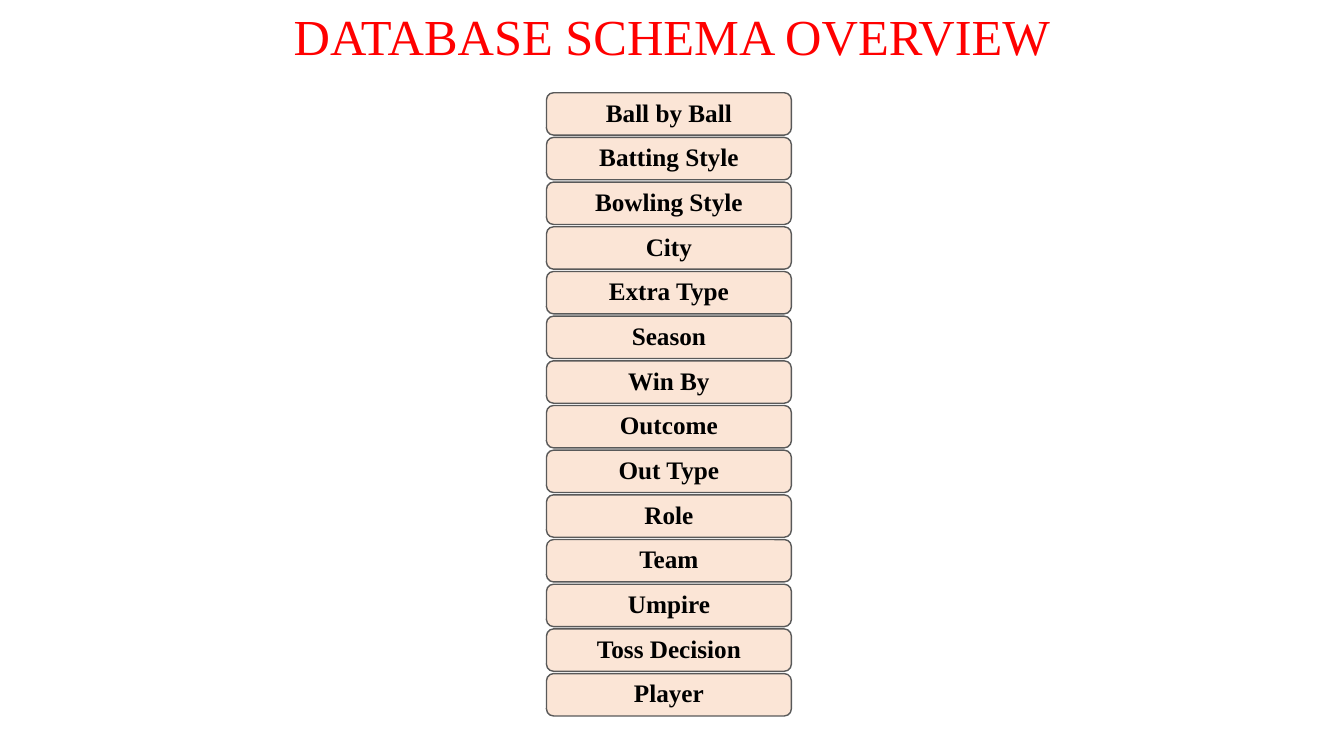
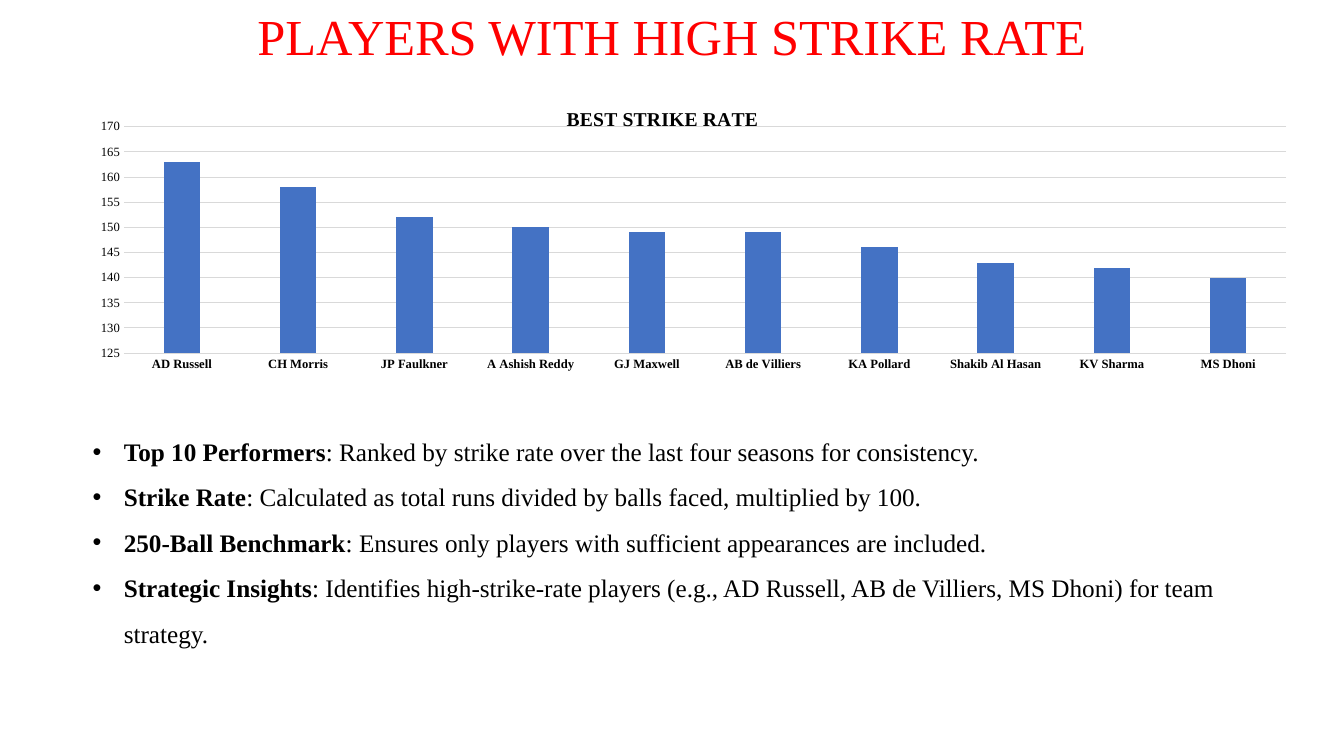
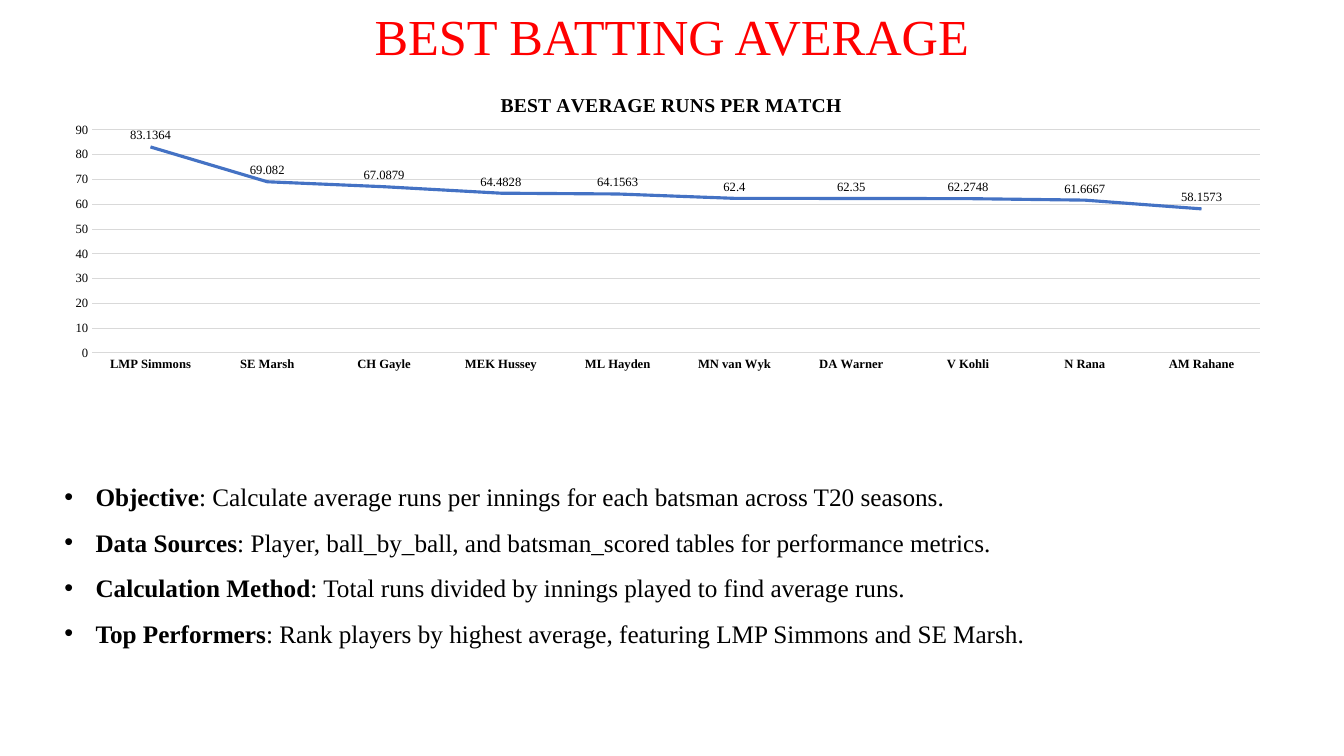
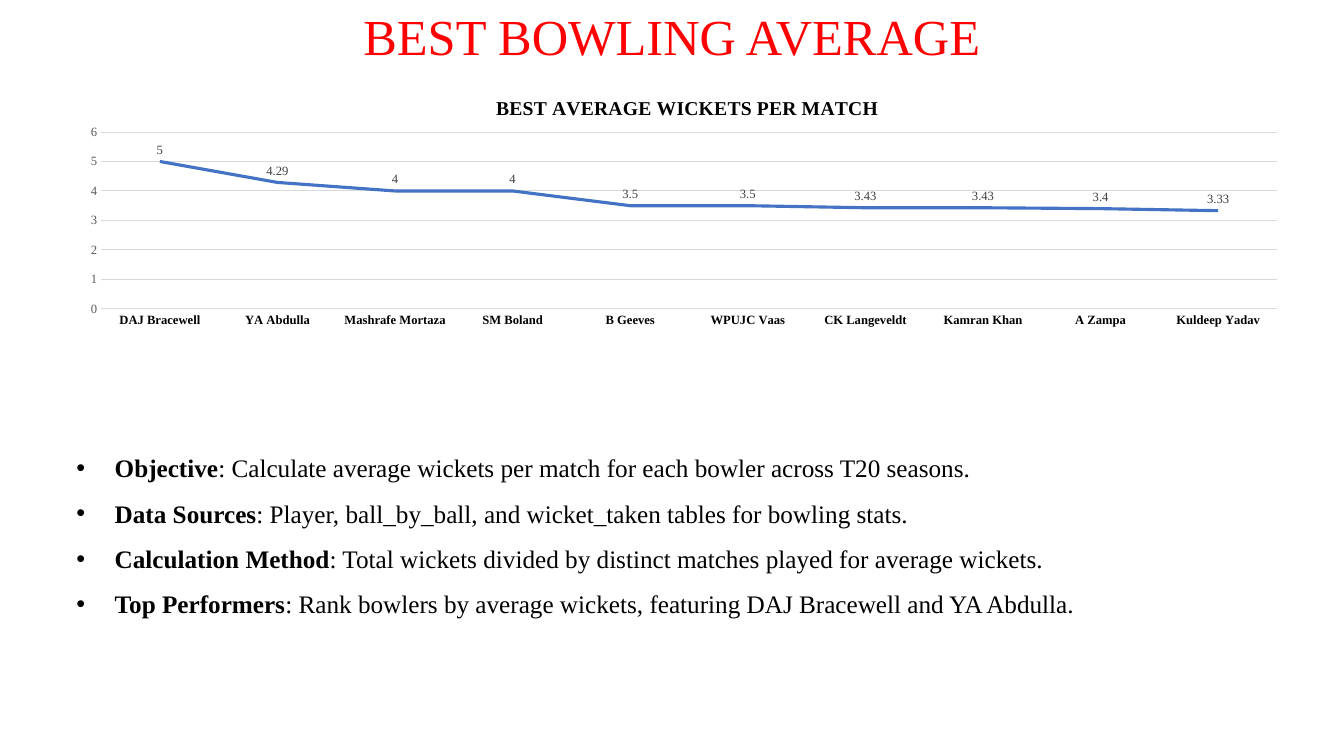
from dataclasses import dataclass
from typing import Any

from lxml.etree import SubElement
from pptx import Presentation
from pptx.chart.data import CategoryChartData
from pptx.dml.color import RGBColor
from pptx.enum.chart import XL_CHART_TYPE, XL_LABEL_POSITION, XL_MARKER_STYLE, XL_TICK_MARK
from pptx.enum.shapes import MSO_SHAPE
from pptx.enum.text import MSO_ANCHOR, MSO_AUTO_SIZE, PP_ALIGN
from pptx.oxml.ns import qn
from pptx.util import Emu, Inches, Pt

WIDTH, HEIGHT = Inches(13.33), Inches(7.5)
FONT = "Times New Roman"
COLORS = {
    "title": "FF0000",
    "text": "000000",
    "button": "FBE5D6",
    "outline": "595959",
    "grid": "D9D9D9",
    "series": "4472C4",
    "muted": "595959",
    "label": "404040",
}


@dataclass(frozen=True)
class Box:
    """Left, top, width and height in percent of the slide."""

    left: float
    top: float
    width: float = 0
    height: float = 0

    def emu(self) -> tuple[Emu, Emu, Emu, Emu]:
        return (
            Emu(int(WIDTH * self.left / 100)),
            Emu(int(HEIGHT * self.top / 100)),
            Emu(int(WIDTH * self.width / 100)),
            Emu(int(HEIGHT * self.height / 100)),
        )


@dataclass(frozen=True)
class ChartSpec:
    title: str
    kind: XL_CHART_TYPE
    box: Box
    plot: Box
    title_at: Box
    data: dict[str, float]
    scale: tuple[float, float, float]
    axis_color: str = "text"
    label_color: str = "text"


@dataclass(frozen=True)
class ChartSlide:
    title: str
    chart: ChartSpec
    bullet_box: Box
    bullets: dict[str, str]
    indent: float = 0.31
    last_space: float = 0


TABLES = [
    "Ball by Ball", "Batting Style", "Bowling Style", "City", "Extra Type",
    "Season", "Win By", "Outcome", "Out Type", "Role", "Team", "Umpire",
    "Toss Decision", "Player",
]
TABLE_BOX = Box(40.66, 12.27, 18.22, 5.6)
TABLE_PITCH = 5.91

CHART_SLIDES = [
    ChartSlide(
        "PLAYERS WITH HIGH STRIKE RATE",
        ChartSpec(
            "BEST STRIKE RATE",
            XL_CHART_TYPE.COLUMN_CLUSTERED,
            Box(2.03, 11.33, 94.5, 40.27),
            Box(9.21, 16.77, 86.5, 29.96),
            Box(41.9, 13.6),
            {
                "AD Russell": 163, "CH Morris": 158, "JP Faulkner": 152,
                "A Ashish Reddy": 150, "GJ Maxwell": 149, "AB de Villiers": 149,
                "KA Pollard": 146, "Shakib Al Hasan": 143, "KV Sharma": 142,
                "MS Dhoni": 140,
            },
            (125, 170, 5),
        ),
        Box(6.15, 55.07, 90.3, 30.93),
        {
            "Top 10 Performers": "Ranked by strike rate over the last four seasons for consistency.",
            "Strike Rate": "Calculated as total runs divided by balls faced, multiplied by 100.",
            "250-Ball Benchmark": "Ensures only players with sufficient appearances are included.",
            "Strategic Insights": "Identifies high-strike-rate players (e.g., AD Russell, "
            "AB de Villiers, MS Dhoni) for team strategy.",
        },
    ),
    ChartSlide(
        "BEST BATTING AVERAGE",
        ChartSpec(
            "BEST AVERAGE RUNS PER MATCH",
            XL_CHART_TYPE.LINE,
            Box(3.75, 9.47, 91.9, 40.53),
            Box(6.85, 17.2, 86.9, 29.5),
            Box(36.98, 11.73),
            {
                "LMP Simmons": 83.1364, "SE Marsh": 69.082, "CH Gayle": 67.0879,
                "MEK Hussey": 64.4828, "ML Hayden": 64.1563, "MN van Wyk": 62.4,
                "DA Warner": 62.35, "V Kohli": 62.2748, "N Rana": 61.6667,
                "AM Rahane": 58.1573,
            },
            (0, 90, 10),
        ),
        Box(4.05, 61.07, 91.9, 24.8),
        {
            "Objective": "Calculate average runs per innings for each batsman across T20 seasons.",
            "Data Sources": "Player, ball_by_ball, and batsman_scored tables for performance metrics.",
            "Calculation Method": "Total runs divided by innings played to find average runs.",
            "Top Performers": "Rank players by highest average, featuring LMP Simmons and SE Marsh.",
        },
    ),
    ChartSlide(
        "BEST BOWLING AVERAGE",
        ChartSpec(
            "BEST AVERAGE WICKETS PER MATCH",
            XL_CHART_TYPE.LINE,
            Box(4.95, 10, 91.9, 34),
            Box(7.52, 17.47, 87.5, 23.4),
            Box(36.65, 12.13),
            {
                "DAJ Bracewell": 5, "YA Abdulla": 4.29, "Mashrafe Mortaza": 4,
                "SM Boland": 4, "B Geeves": 3.5, "WPUJC Vaas": 3.5,
                "CK Langeveldt": 3.43, "Kamran Khan": 3.43, "A Zampa": 3.4,
                "Kuldeep Yadav": 3.33,
            },
            (0, 6, 1),
            axis_color="muted",
            label_color="label",
        ),
        Box(4.95, 57.2, 91.9, 24.93),
        {
            "Objective": "Calculate average wickets per match for each bowler across T20 seasons.",
            "Data Sources": "Player, ball_by_ball, and wicket_taken tables for bowling stats.",
            "Calculation Method": "Total wickets divided by distinct matches played for average wickets.",
            "Top Performers": "Rank bowlers by average wickets, featuring DAJ Bracewell and YA Abdulla.",
        },
        indent=0.38,
        last_space=8,
    ),
]


def rgb(name: str) -> RGBColor:
    return RGBColor.from_string(COLORS[name])


def set_font(font: Any, size: float, color: str = "text", bold: bool = False) -> None:
    font.name = FONT
    font.size = Pt(size)
    font.bold = bold
    font.color.rgb = rgb(color)


def add_run(p: Any, text: str, size: float = 18, color: str = "text", bold: bool = False) -> None:
    r = p.add_run()
    r.text = text
    set_font(r.font, size, color, bold)


def add_text_frame(s: Any, box: Box) -> Any:
    tf = s.shapes.add_textbox(*box.emu()).text_frame
    tf.word_wrap = True
    tf.auto_size = MSO_AUTO_SIZE.SHAPE_TO_FIT_TEXT
    return tf


def add_titled_slide(prs: Any, title: str) -> Any:
    s = prs.slides.add_slide(prs.slide_layouts[6])
    p = add_text_frame(s, Box(0, 0, 100, 9.47)).paragraphs[0]
    p.alignment = PP_ALIGN.CENTER
    add_run(p, title, size=36, color="title")
    return s


def add_button(s: Any, text: str, box: Box) -> None:
    sp = s.shapes.add_shape(MSO_SHAPE.ROUNDED_RECTANGLE, *box.emu())
    sp.shadow.inherit = False
    sp.fill.solid()
    sp.fill.fore_color.rgb = rgb("button")
    sp.line.color.rgb = rgb("outline")
    sp.line.width = Pt(1)
    tf = sp.text_frame
    tf.vertical_anchor = MSO_ANCHOR.MIDDLE
    tf.margin_left = tf.margin_right = Inches(0.07)
    tf.margin_top = tf.margin_bottom = Inches(0.04)
    p = tf.paragraphs[0]
    p.alignment = PP_ALIGN.CENTER
    p.line_spacing = 0.9
    add_run(p, text, bold=True)


def add_bullets(s: Any, spec: ChartSlide) -> None:
    tf = add_text_frame(s, spec.bullet_box)
    for i, (term, detail) in enumerate(spec.bullets.items()):
        p = tf.add_paragraph() if i else tf.paragraphs[0]
        p.line_spacing = 1.5
        if spec.last_space and i == len(spec.bullets) - 1:
            p.space_after = Pt(spec.last_space)
        pPr = p._p.get_or_add_pPr()
        pPr.set("marL", str(Inches(spec.indent)))
        pPr.set("indent", str(-Inches(spec.indent)))
        SubElement(pPr, qn("a:buFont"), typeface="Arial")
        SubElement(pPr, qn("a:buChar"), char="•")
        add_run(p, term, bold=True)
        add_run(p, f": {detail}")


def set_layout(parent: Any, index: int, box: Box, frame: Box, inner: bool = False) -> None:
    for old in parent.findall(qn("c:layout")):
        parent.remove(old)
    layout = SubElement(parent, qn("c:layout"))
    parent.insert(index, layout)
    manual = SubElement(layout, qn("c:manualLayout"))
    values: dict[str, Any] = {"layoutTarget": "inner"} if inner else {}
    values |= {
        "xMode": "edge",
        "yMode": "edge",
        "x": (box.left - frame.left) / frame.width,
        "y": (box.top - frame.top) / frame.height,
    }
    if inner:
        values |= {"w": box.width / frame.width, "h": box.height / frame.height}
    for tag, value in values.items():
        SubElement(manual, qn(f"c:{tag}"), val=str(value))


def style_axes(chart: Any, spec: ChartSpec) -> None:
    cat, val = chart.category_axis, chart.value_axis
    for axis in (cat, val):
        axis.major_tick_mark = axis.minor_tick_mark = XL_TICK_MARK.NONE
    set_font(cat.tick_labels.font, 9, bold=True)
    set_font(val.tick_labels.font, 9, spec.axis_color)
    val.minimum_scale, val.maximum_scale, val.major_unit = spec.scale
    val.has_major_gridlines = True
    val.format.line.fill.background()
    for line in (cat.format.line, val.major_gridlines.format.line):
        line.color.rgb = rgb("grid")
        line.width = Pt(0.75)


def style_series(plot: Any, spec: ChartSpec) -> None:
    plot.vary_by_categories = False
    series = plot.series[0]
    if spec.kind == XL_CHART_TYPE.COLUMN_CLUSTERED:
        plot.gap_width, plot.overlap = 219, -27
        series.format.fill.solid()
        series.format.fill.fore_color.rgb = rgb("series")
        return
    series.smooth = False
    series.marker.style = XL_MARKER_STYLE.NONE
    series.format.line.color.rgb = rgb("series")
    series.format.line.width = Pt(2.25)
    labels = series.data_labels
    labels.show_value = True
    labels.position = XL_LABEL_POSITION.ABOVE
    set_font(labels.font, 9, spec.label_color)


def add_chart(s: Any, spec: ChartSpec) -> None:
    data = CategoryChartData()
    data.categories = list(spec.data)
    data.add_series("Series 1", list(spec.data.values()))
    chart = s.shapes.add_chart(spec.kind, *spec.box.emu(), data).chart
    set_font(chart.font, 10)
    chart.has_legend = False
    chart.has_title = True
    title = chart.chart_title
    add_run(title.text_frame.paragraphs[0], spec.title, size=14, bold=True)
    set_layout(title._element, 1, spec.title_at, spec.box)
    set_layout(chart._chartSpace.chart.plotArea, 0, spec.plot, spec.box, inner=True)
    style_axes(chart, spec)
    style_series(chart.plots[0], spec)


def main() -> None:
    prs = Presentation()
    prs.slide_width, prs.slide_height = WIDTH, HEIGHT
    s = add_titled_slide(prs, "DATABASE SCHEMA OVERVIEW")
    for i, name in enumerate(TABLES):
        top = TABLE_BOX.top + i * TABLE_PITCH
        add_button(s, name, Box(TABLE_BOX.left, top, TABLE_BOX.width, TABLE_BOX.height))
    for spec in CHART_SLIDES:
        s = add_titled_slide(prs, spec.title)
        add_chart(s, spec.chart)
        add_bullets(s, spec)
    prs.save("out.pptx")


if __name__ == "__main__":
    main()
